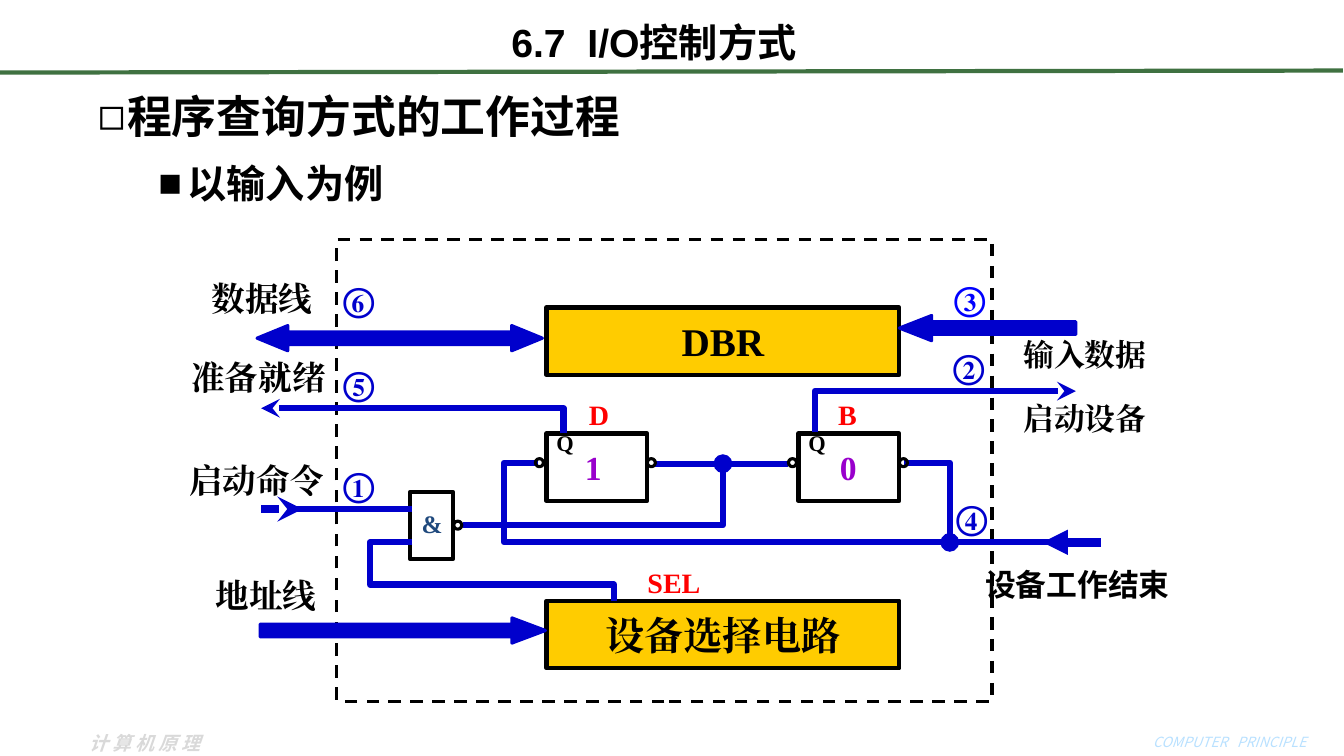
import pptx
import pptx.util
import pptx.dml.color
import pptx.enum.dml
import pptx.enum.shapes
import pptx.enum.text
import pptx.oxml.ns
import lxml.etree

Inches, Pt = pptx.util.Inches, pptx.util.Pt
rgb = pptx.dml.color.RGBColor.from_string
qn = pptx.oxml.ns.qn
MSO = pptx.enum.shapes.MSO_SHAPE
CENTER = pptx.enum.text.PP_ALIGN.CENTER
MIDDLE = pptx.enum.text.MSO_ANCHOR.MIDDLE
BLUE, BLACK, RED, PURPLE = "0000CC", "000000", "FF0000", "9900CC"
SERIF, SANS, FOOTER = "Times New Roman", "Noto Sans CJK JP", "Noto Sans CJK SC"

prs = pptx.Presentation()
prs.slide_width, prs.slide_height = Inches(13.33), Inches(7.5)
s = prs.slides.add_slide(prs.slide_layouts[3])


def write(sp, text, size, color=BLACK, font=SERIF, align=CENTER, wrap=False):
    """Put one bold line of text into a shape, for Latin and Chinese letters alike."""
    tf = sp.text_frame
    tf.word_wrap = wrap
    tf.auto_size = pptx.enum.text.MSO_AUTO_SIZE.NONE
    p = tf.paragraphs[0]
    p.alignment = align
    p.space_before = Pt(0)
    r = p.add_run()
    r.text = text
    r.font.size, r.font.bold, r.font.name = Pt(size), True, font
    r.font.color.rgb = rgb(color)
    lxml.etree.SubElement(r._r.rPr, qn("a:ea"), typeface=font)
    return p


def wire(points, color=BLUE, width=4.5, head=None, tail=None):
    """Draw a line through the points; head and tail name the end marks."""
    pts = [(Inches(x), Inches(y)) for x, y in points]
    if len(pts) == 2:
        sp = s.shapes.add_connector(pptx.enum.shapes.MSO_CONNECTOR.STRAIGHT, *pts[0], *pts[1])
    else:
        fb = s.shapes.build_freeform(*pts[0], scale=1.0)
        fb.add_line_segments(pts[1:], close=False)
        sp = fb.convert_to_shape()
        sp.fill.background()
    sp.line.color.rgb = rgb(color)
    sp.line.width = Pt(width)
    ln = sp.line._get_or_add_ln()
    for tag, mark in (("a:headEnd", head), ("a:tailEnd", tail)):
        if mark:
            lxml.etree.SubElement(ln, qn(tag), type=mark)
    lxml.etree.SubElement(sp._element.spPr, qn("a:effectLst"))


# Title, bullets and footer
wire([(0, 0.72), (13.32, 0.7)], "3F7141", 3)
title, topic, example = s.placeholders
title.left, title.top, title.width, title.height = map(Inches, (0.68, 0.13, 11.61, 0.57))
title.text_frame.vertical_anchor = MIDDLE
write(title, "6.7  I/O控制方式", 28, font="Arial", wrap=True)

for level, (sp, box, bullet, text, size) in enumerate([
    (topic, (0.87, 0.83, 7.68, 0.63), "◻", "程序查询方式的工作过程", 32),
    (example, (1.47, 1.53, 5.17, 0.57), "■", "以输入为例", 28),
]):
    sp.left, sp.top, sp.width, sp.height = map(Inches, box)
    p = write(sp, text, size, font=SANS, align=pptx.enum.text.PP_ALIGN.LEFT, wrap=True)
    p.level = level
    pPr = p._p.get_or_add_pPr()
    pPr.set("marL", str(Inches(0.29)))
    pPr.set("indent", str(-Inches(0.29)))
    lxml.etree.SubElement(pPr, qn("a:buChar"), char=bullet)

for box, text, size, color, bold in [
    ((11.07, 7.23, 2.25, 0.27), "COMPUTER   PRINCIPLE", 10, "B9E1FF", False),
    ((0.71, 7.21, 1.46, 0.34), "计算机原理", 13.5, "D9D9D9", True),
]:
    sp = s.shapes.add_textbox(*map(Inches, box))
    r = write(sp, text, size, color, FOOTER).runs[0]
    r.font.bold, r.font.italic = bold, True
    if bold:
        r._r.rPr.set("spc", "300")

# Interface boundary
frame = s.shapes.add_shape(MSO.RECTANGLE, *map(Inches, (3.34, 2.38, 6.5, 4.58)))
frame.shadow.inherit = False
frame.fill.background()
frame.line.color.rgb = rgb(BLACK)
frame.line.width = Pt(2.25)
frame.line.dash_style = pptx.enum.dml.MSO_LINE.DASH

# Register, device selector, flip-flops and gate
for box, text in [
    ((5.42, 3.05, 3.5, 0.67), "DBR"),
    ((5.42, 5.96, 3.5, 0.67), "设备选择电路"),
    ((5.42, 4.3, 1, 0.67), None),
    ((7.92, 4.3, 1, 0.67), None),
    ((4.07, 4.88, 0.42, 0.67), None),
]:
    sp = s.shapes.add_shape(MSO.RECTANGLE, *map(Inches, box))
    sp.shadow.inherit = False
    sp.line.color.rgb = rgb(BLACK)
    sp.line.width = Pt(3)
    if text:
        sp.fill.solid()
        sp.fill.fore_color.rgb = rgb("FFCC00")
        sp.text_frame.vertical_anchor = MIDDLE
        write(sp, text, 28)
    else:
        sp.fill.background()

# Signal wires
wire([(2.92, 5.05), (4.09, 5.05)])
wire([(2.59, 5.05), (3, 5.05)], width=6, tail="stealth")
wire([(7.17, 4.6), (7.17, 5.21), (4.59, 5.21)], head="oval")
wire([(8.08, 4.29), (8.08, 3.88), (10.67, 3.88)], tail="stealth")
wire([(5.59, 4.3), (5.59, 4.05), (2.59, 4.05)], tail="stealth")
wire([(6.5, 4.6), (7.82, 4.6)])
wire([(9.42, 5.38), (9.42, 4.59), (8.97, 4.59)], head="oval")
wire([(10.92, 5.38), (10.34, 5.38)], width=6, tail="triangle")
wire([(5.34, 4.59), (5, 4.59), (5, 5.38), (10.42, 5.38)])
wire([(4.09, 5.38), (3.67, 5.38), (3.67, 5.8), (6.09, 5.8), (6.09, 5.96)])

# Bus arrows
for kind, x, y, w, head in [
    (MSO.LEFT_ARROW, 8.92, 3.13, 1.75, 1.28),
    (MSO.LEFT_RIGHT_ARROW, 2.55, 3.23, 2.83, 1.22),
    (MSO.RIGHT_ARROW, 2.58, 6.13, 2.83, 1.33),
]:
    sp = s.shapes.add_shape(kind, *map(Inches, (x, y, w, 0.25)))
    sp.shadow.inherit = False
    sp.adjustments[0], sp.adjustments[1] = 0.5, head
    sp.fill.solid()
    sp.fill.fore_color.rgb = rgb(BLUE)
    sp.line.color.rgb = rgb(BLUE)
    sp.line.width = Pt(2.25)

# Inversion bubbles
for x, y in [(4.5, 5.17), (5.31, 4.55), (6.42, 4.55), (7.82, 4.55), (8.92, 4.55)]:
    sp = s.shapes.add_shape(MSO.OVAL, *map(Inches, (x, y, 0.08, 0.08)))
    sp.shadow.inherit = False
    sp.fill.background()
    sp.line.color.rgb = rgb(BLACK)
    sp.line.width = Pt(2.25)

# Labels
for x, y, w, h, text, size, color in [
    (2, 2.71, 1.2, 0.5, "数据线", 24, BLACK),
    (1.8, 3.49, 1.53, 0.5, "准备就绪", 24, BLACK),
    (1.78, 4.51, 1.53, 0.5, "启动命令", 24, BLACK),
    (2.04, 5.65, 1.2, 0.5, "地址线", 24, BLACK),
    (10.05, 3.28, 1.42, 0.47, "输入数据", 22, BLACK),
    (10.05, 3.92, 1.42, 0.47, "启动设备", 22, BLACK),
    (9.67, 5.56, 2.03, 0.47, "设备工作结束", 22, BLACK),
    (5.42, 4.21, 0.37, 0.37, "Q", 16, BLACK),
    (7.92, 4.21, 0.37, 0.37, "Q", 16, BLACK),
    (5.72, 4.38, 0.33, 0.5, "1", 24, PURPLE),
    (8.25, 4.38, 0.33, 0.5, "0", 24, PURPLE),
    (4.08, 4.99, 0.41, 0.4, "&", 18, "1F497D"),
    (5.74, 3.89, 0.4, 0.44, "D", 20, RED),
    (8.21, 3.89, 0.39, 0.44, "B", 20, RED),
    (6.32, 5.56, 0.73, 0.44, "SEL", 20, RED),
    (3.29, 4.55, 0.54, 0.5, "①", 24, BLUE),
    (9.34, 3.38, 0.54, 0.5, "②", 24, BLUE),
    (9.35, 2.71, 0.54, 0.5, "③", 24, "0000FF"),
    (9.37, 4.88, 0.54, 0.5, "④", 24, BLUE),
    (3.29, 3.55, 0.54, 0.5, "⑤", 24, BLUE),
    (3.29, 2.72, 0.54, 0.5, "⑥", 24, BLUE),
]:
    sp = s.shapes.add_textbox(*map(Inches, (x, y, w, h)))
    write(sp, text, size, color, SANS if text == "设备工作结束" else SERIF)

prs.save("out.pptx")
